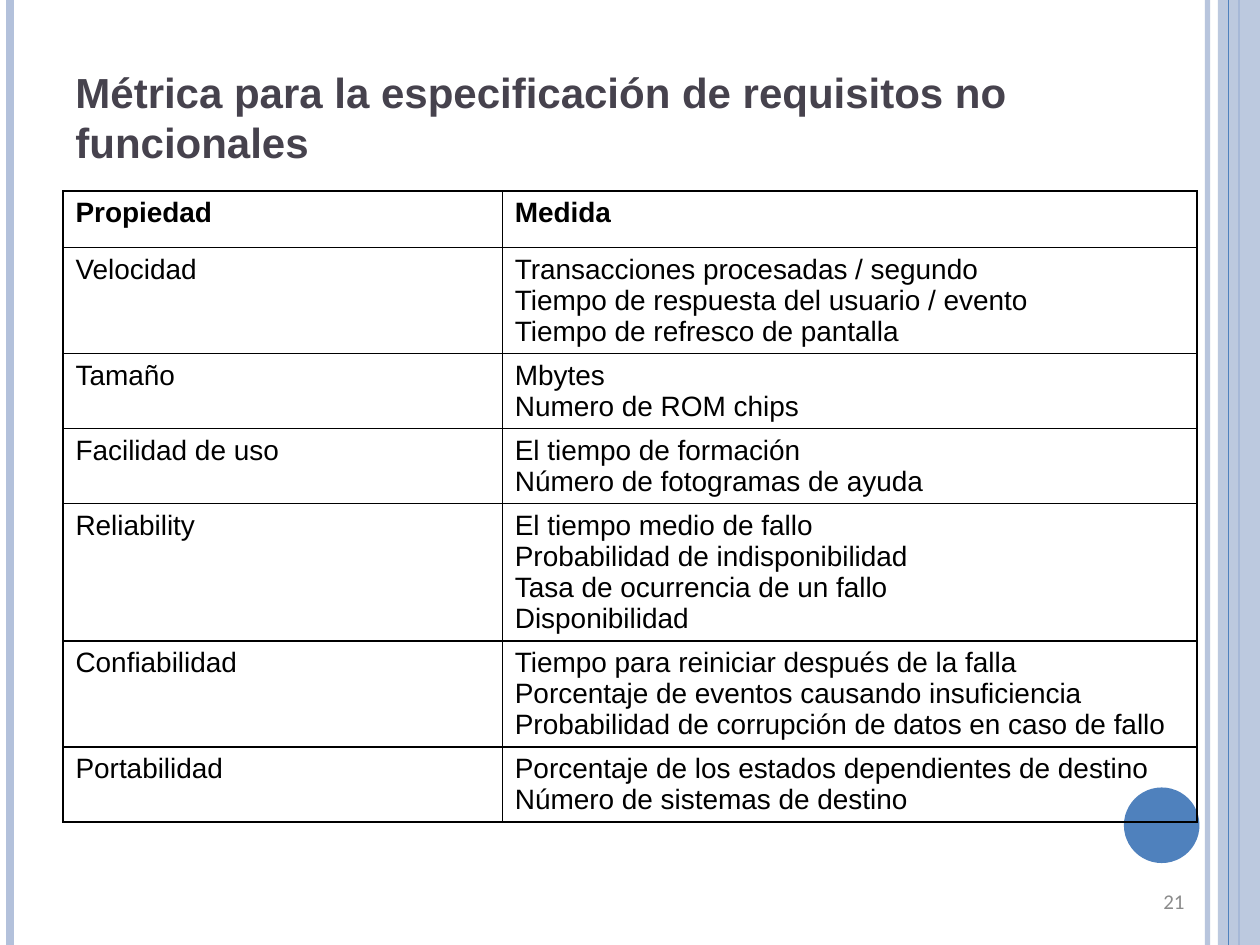
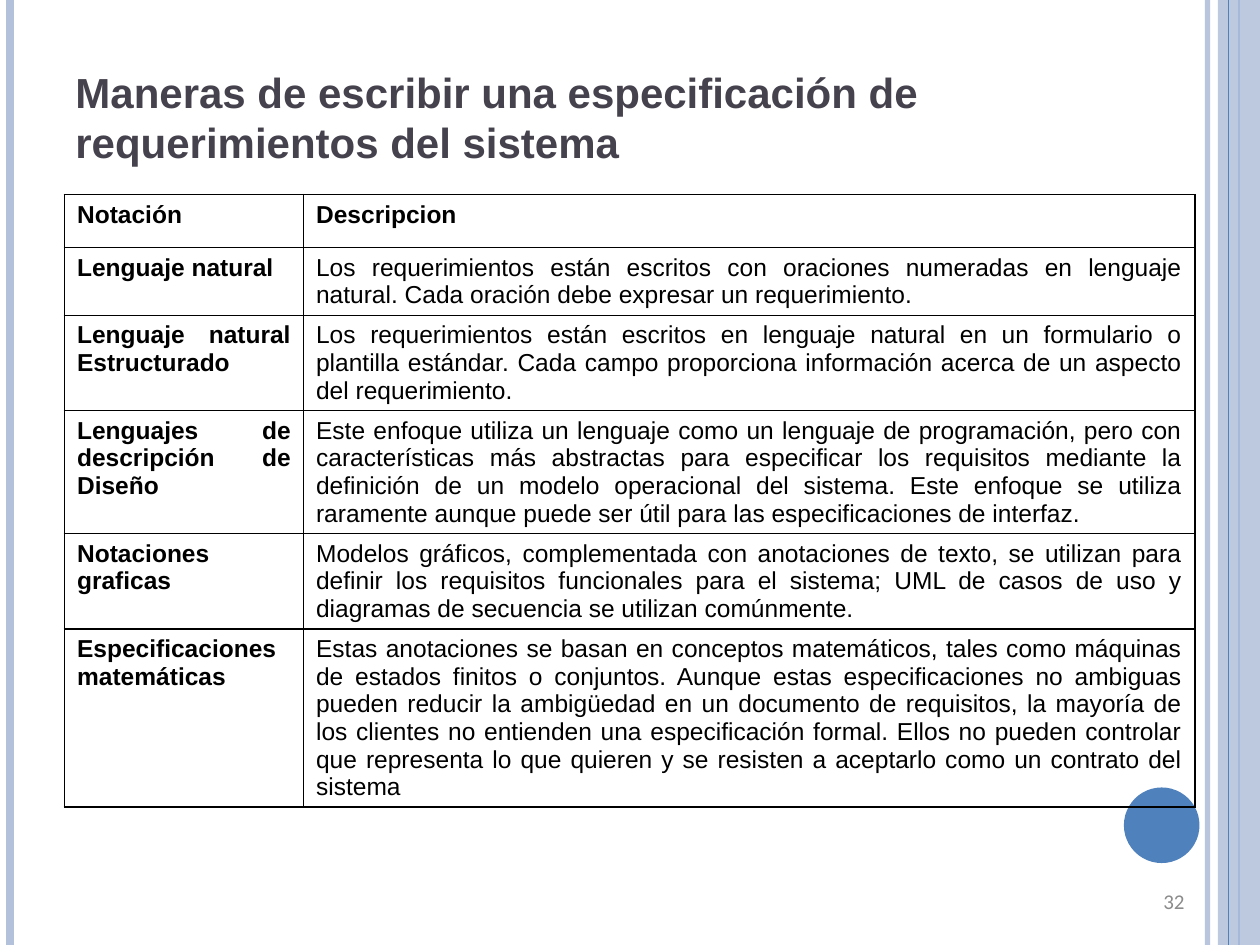
from dataclasses import dataclass

from lxml.etree import SubElement
from pptx import Presentation
from pptx.dml.color import RGBColor
from pptx.enum.shapes import MSO_CONNECTOR, MSO_SHAPE
from pptx.enum.text import MSO_ANCHOR, PP_ALIGN
from pptx.oxml.ns import qn
from pptx.util import Inches, Pt


@dataclass(frozen=True)
class Theme:
    accent: RGBColor = RGBColor.from_string("4F81BD")
    band: RGBColor = RGBColor.from_string("B3C1DB")
    title: RGBColor = RGBColor.from_string("46424D")
    ink: RGBColor = RGBColor.from_string("000000")
    number: RGBColor = RGBColor.from_string("8B8B8B")
    title_size: int = 24
    number_size: int = 12
    border_width: int = 1
    text_font: str = "Arial"
    number_font: str = "Calibri"


@dataclass(frozen=True)
class Box:
    left: float
    top: float
    width: float
    height: float

    def emu(self):
        return [Inches(value * CELL) for value in (self.left, self.top, self.width, self.height)]


THEME = Theme()
CELL = 0.1
POINTS_PER_CELL = 7.2
CELL_MARGINS = 1
COLUMNS, ROWS = 100, 75
PAGE_BOX = Box(0, 0, COLUMNS, ROWS)
TITLE_BOX = Box(5, 3, 79.8, 12.5)
NUMBER_BOX = Box(71.7, 69.5, 23.3, 4)

METRICS = {
    "title": "Métrica para la especificación de requisitos no funcionales",
    "number": "21",
    "box": Box(5, 15.15, 90, 50),
    "first_width": 34.87,
    "size": 16,
    "bold_names": False,
    "header_height": 4.5,
    "line_points": 17.8,
    "header": ("Propiedad", "Medida"),
    "rows": [
        ("Velocidad", 3, ["Transacciones procesadas / segundo",
                          "Tiempo de respuesta del usuario / evento",
                          "Tiempo de refresco de pantalla"]),
        ("Tamaño", 2, ["Mbytes", "Numero de ROM chips"]),
        ("Facilidad de uso", 2, ["El tiempo de formación", "Número de fotogramas de ayuda"]),
        ("Reliability", 4, ["El tiempo medio de fallo",
                            "Probabilidad de indisponibilidad",
                            "Tasa de ocurrencia de un fallo",
                            "Disponibilidad"]),
        ("Confiabilidad", 3, ["Tiempo para reiniciar después de la falla",
                              "Porcentaje de eventos causando insuficiencia",
                              "Probabilidad de corrupción de datos en caso de fallo"]),
        ("Portabilidad", 2, ["Porcentaje de los estados dependientes de destino",
                             "Número de sistemas de destino"]),
    ],
}

NOTATIONS = {
    "title": "Maneras de escribir una especificación de requerimientos del sistema",
    "number": "32",
    "box": Box(5.12, 15.45, 89.72, 48.6),
    "first_width": 18.97,
    "size": 14,
    "bold_names": True,
    "header_height": 4.2,
    "line_points": 15.75,
    "header": ("Notación", "Descripcion"),
    "rows": [
        ("Lenguaje natural", 2, [
            "Los requerimientos están escritos con oraciones numeradas en lenguaje natural. "
            "Cada oración debe expresar un requerimiento."]),
        ("Lenguaje natural Estructurado", 3, [
            "Los requerimientos están escritos en lenguaje natural en un formulario o plantilla "
            "estándar. Cada campo proporciona información acerca de un aspecto del requerimiento."]),
        ("Lenguajes de descripción de Diseño", 4, [
            "Este enfoque utiliza un lenguaje como un lenguaje de programación, pero con "
            "características más abstractas para especificar los requisitos mediante la definición "
            "de un modelo operacional del sistema. Este enfoque se utiliza raramente aunque puede "
            "ser útil para las especificaciones de interfaz."]),
        ("Notaciones graficas", 3, [
            "Modelos gráficos, complementada con anotaciones de texto, se utilizan para definir "
            "los requisitos funcionales para el sistema; UML de casos de uso y diagramas de "
            "secuencia se utilizan comúnmente."]),
        ("Especificaciones matemáticas", 6, [
            "Estas anotaciones se basan en conceptos matemáticos, tales como máquinas de estados "
            "finitos o conjuntos. Aunque estas especificaciones no ambiguas pueden reducir la "
            "ambigüedad en un documento de requisitos, la mayoría de los clientes no entienden "
            "una especificación formal. Ellos no pueden controlar que representa lo que quieren "
            "y se resisten a aceptarlo como un contrato del sistema"]),
    ],
}


def write(frame, lines, color, layout, formats):
    for index, line in enumerate(lines):
        para = frame.paragraphs[0] if index == 0 else frame.add_paragraph()
        for name, value in layout.items():
            setattr(para, name, value)
        span = para.add_run()
        span.text = line
        span.font.color.rgb = color
        for name, value in formats.items():
            setattr(span.font, name, value)


def set_alpha(element, percent):
    color = next(element.iter(qn("a:srgbClr")))
    SubElement(color, qn("a:alpha"), val=str(percent * 1000))


def draw_rule(page, box, column, color, width, alpha=100):
    left, top, _, down = box.emu()
    x = left + Inches(column * CELL)
    rule = page.shapes.add_connector(MSO_CONNECTOR.STRAIGHT, x, top, x, top + down)
    rule.line.color.rgb = color
    rule.line.width = Pt(width)
    properties = rule._element.spPr
    SubElement(properties, qn("a:effectLst"))
    if alpha < 100:
        set_alpha(properties, alpha)


def draw_fill(page, kind, box, color, alpha=100):
    shape = page.shapes.add_shape(kind, *box.emu())
    shape.shadow.inherit = False
    shape.fill.solid()
    shape.fill.fore_color.rgb = color
    shape.line.fill.background()
    if alpha < 100:
        set_alpha(shape._element.spPr, alpha)


def draw_bands(page, box):
    draw_rule(page, box, 95.83, THEME.band, 3, 93)
    draw_rule(page, box, 0.83, THEME.band, 4.5)
    draw_rule(page, box, 98.33, THEME.accent, 1.5)
    side = Box(box.left + 96.67, box.top, 3.33, box.height)
    draw_fill(page, MSO_SHAPE.RECTANGLE, side, THEME.band, 87)
    draw_rule(page, box, 97.5, THEME.accent, 0.75)
    disc = Box(box.left + 89.2, box.top + 62.5, 6, 6)
    draw_fill(page, MSO_SHAPE.OVAL, disc, THEME.accent)


def draw_text(page, box, text, color, align, formats):
    frame = page.shapes.add_textbox(*box.emu()).text_frame
    frame.word_wrap = True
    frame.vertical_anchor = MSO_ANCHOR.MIDDLE
    write(frame, [text], color, {"alignment": align}, formats)


def draw_borders(cell):
    properties = cell._tc.get_or_add_tcPr()
    for index, side in enumerate(("lnL", "lnR", "lnT", "lnB")):
        border = SubElement(properties, qn(f"a:{side}"), w=str(Pt(THEME.border_width)))
        fill = SubElement(border, qn("a:solidFill"))
        SubElement(fill, qn("a:srgbClr"), val=str(THEME.ink))
        properties.insert(index, border)


def fill_cell(cell, lines, content, bold):
    cell.fill.background()
    draw_borders(cell)
    layout = {"alignment": PP_ALIGN.JUSTIFY, "line_spacing": Pt(content["line_points"])}
    formats = {"name": THEME.text_font, "size": Pt(content["size"]), "bold": bold}
    write(cell.text_frame, lines, THEME.ink, layout, formats)


def draw_table(page, box, content):
    rows = content["rows"]
    table = page.shapes.add_table(len(rows) + 1, 2, *box.emu()).table
    table.first_row = False
    table.horz_banding = False
    widths = (content["first_width"], box.width - content["first_width"])
    for column, width in zip(table.columns, widths):
        column.width = Inches(width * CELL)
    line_height = content["line_points"] / POINTS_PER_CELL
    heights = [content["header_height"]]
    heights += [lines * line_height + CELL_MARGINS for _, lines, _ in rows]
    for row, height in zip(table.rows, heights):
        row.height = Inches(height * CELL)
    for column, label in enumerate(content["header"]):
        fill_cell(table.cell(0, column), [label], content, True)
    for index, (name, _, details) in enumerate(rows, start=1):
        fill_cell(table.cell(index, 0), [name], content, content["bold_names"])
        fill_cell(table.cell(index, 1), details, content, False)


def draw_table_page(deck, content):
    page = deck.slides.add_slide(deck.slide_layouts[6])
    draw_bands(page, PAGE_BOX)
    draw_text(page, TITLE_BOX, content["title"], THEME.title, PP_ALIGN.LEFT,
              {"name": THEME.text_font, "size": Pt(THEME.title_size), "bold": True})
    draw_table(page, content["box"], content)
    draw_text(page, NUMBER_BOX, content["number"], THEME.number, PP_ALIGN.RIGHT,
              {"name": THEME.number_font, "size": Pt(THEME.number_size)})


def main():
    deck = Presentation()
    deck.slide_width = Inches(COLUMNS * CELL)
    deck.slide_height = Inches(ROWS * CELL)
    for content in (METRICS, NOTATIONS):
        draw_table_page(deck, content)
    deck.save("out.pptx")


if __name__ == "__main__":
    main()
